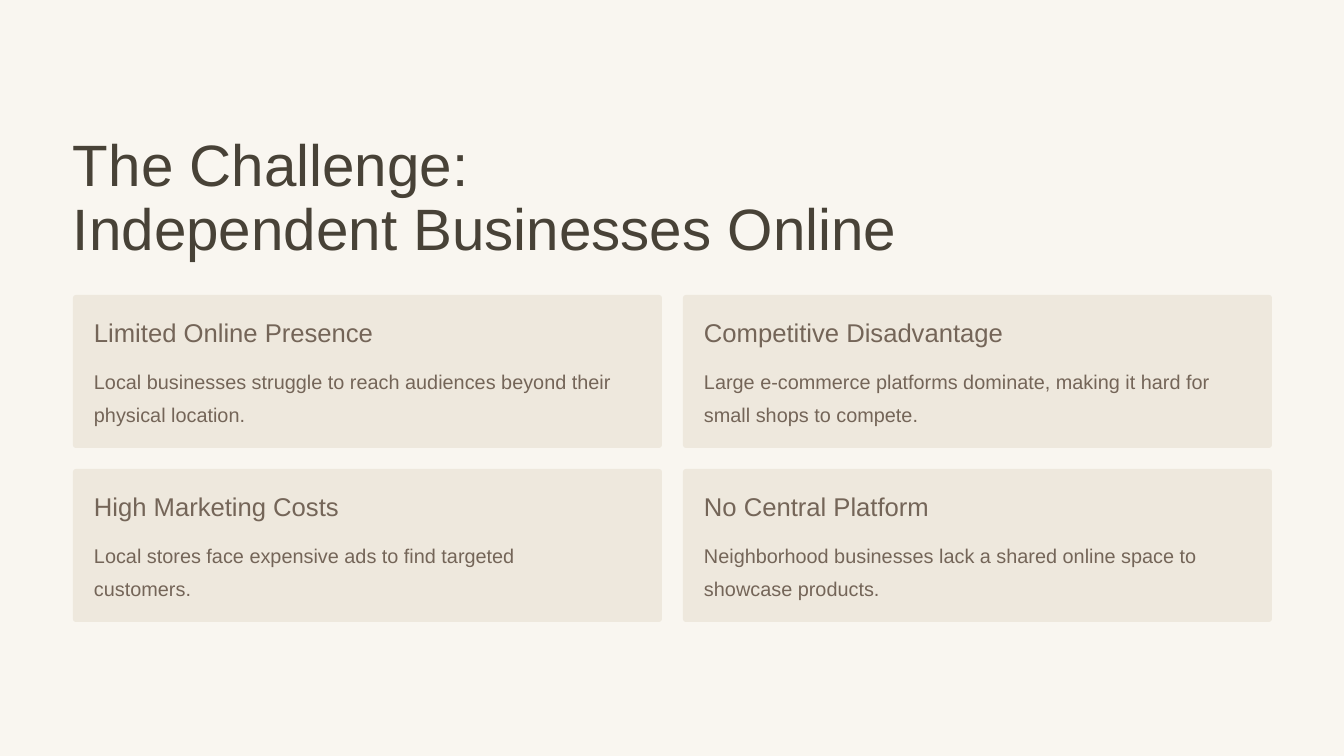
"""Build a slide with four cards on the challenge for independent businesses."""
from pptx import Presentation, util as u
from pptx.dml.color import RGBColor
from pptx.enum import shapes, text

HEADING = "The Challenge: \vIndependent Businesses Online"
CARDS = [
    ("Limited Online Presence",
     "Local businesses struggle to reach audiences beyond their physical location.", 547),
    ("Competitive Disadvantage",
     "Large e-commerce platforms dominate, making it hard for small shops to compete.", 547),
    ("High Marketing Costs",
     "Local stores face expensive ads to find targeted customers.", 515),
    ("No Central Platform",
     "Neighborhood businesses lack a shared online space to showcase products.", 547),
]

CREAM = RGBColor(0xF9, 0xF6, 0xF0)
SAND = RGBColor(0xEE, 0xE8, 0xDD)
DARK = RGBColor(0x48, 0x42, 0x37)
BROWN = RGBColor(0x74, 0x65, 0x58)

FONT = "Arial"
COLUMNS = 2
LEFT, TOP = 73, 295
CARD_W, CARD_H = 589, 153
GAP = 21
PAD = 21
BODY_DROP = 66


def px(length):
    return u.Inches(length / 84)


def write(box, words, size, leading, color):
    frame = box.text_frame
    frame.margin_left = frame.margin_right = frame.margin_top = frame.margin_bottom = 0
    frame.word_wrap = True
    frame.auto_size = text.MSO_AUTO_SIZE.NONE
    frame.vertical_anchor = text.MSO_ANCHOR.TOP
    frame.text = words
    line = frame.paragraphs[0]
    line.alignment = text.PP_ALIGN.LEFT
    line.line_spacing = u.Pt(leading)
    line.font.name = FONT
    line.font.size = u.Pt(size)
    line.font.color.rgb = color


def add_card(slide, x, y, topic, detail, detail_w):
    card = slide.shapes.add_shape(
        shapes.MSO_SHAPE.ROUNDED_RECTANGLE, px(x), px(y), px(CARD_W), px(CARD_H))
    card.adjustments[0] = 0.02
    card.shadow.inherit = False
    card.fill.solid()
    card.fill.fore_color.rgb = SAND
    card.line.fill.background()

    inner_w = CARD_W - 2 * PAD
    topic_box = slide.shapes.add_textbox(px(x + PAD), px(y + PAD), px(inner_w), px(31))
    write(topic_box, topic, 22, 27, BROWN)
    detail_box = slide.shapes.add_textbox(
        px(x + PAD), px(y + BODY_DROP), px(detail_w), px(63))
    write(detail_box, detail, 17, 28, BROWN)


def main():
    deck = Presentation()
    deck.slide_width, deck.slide_height = px(1344), px(756)
    slide = deck.slides.add_slide(deck.slide_layouts[5])
    slide.background.fill.solid()
    slide.background.fill.fore_color.rgb = CREAM

    heading = slide.shapes.title
    heading.left, heading.top = px(LEFT), px(134)
    heading.width, heading.height = px(COLUMNS * CARD_W + GAP), px(128)
    write(heading, HEADING, 50, 55, DARK)

    for index, (topic, detail, detail_w) in enumerate(CARDS):
        row, column = divmod(index, COLUMNS)
        x = LEFT + column * (CARD_W + GAP)
        y = TOP + row * (CARD_H + GAP)
        add_card(slide, x, y, topic, detail, detail_w)

    deck.save("out.pptx")


if __name__ == "__main__":
    main()
